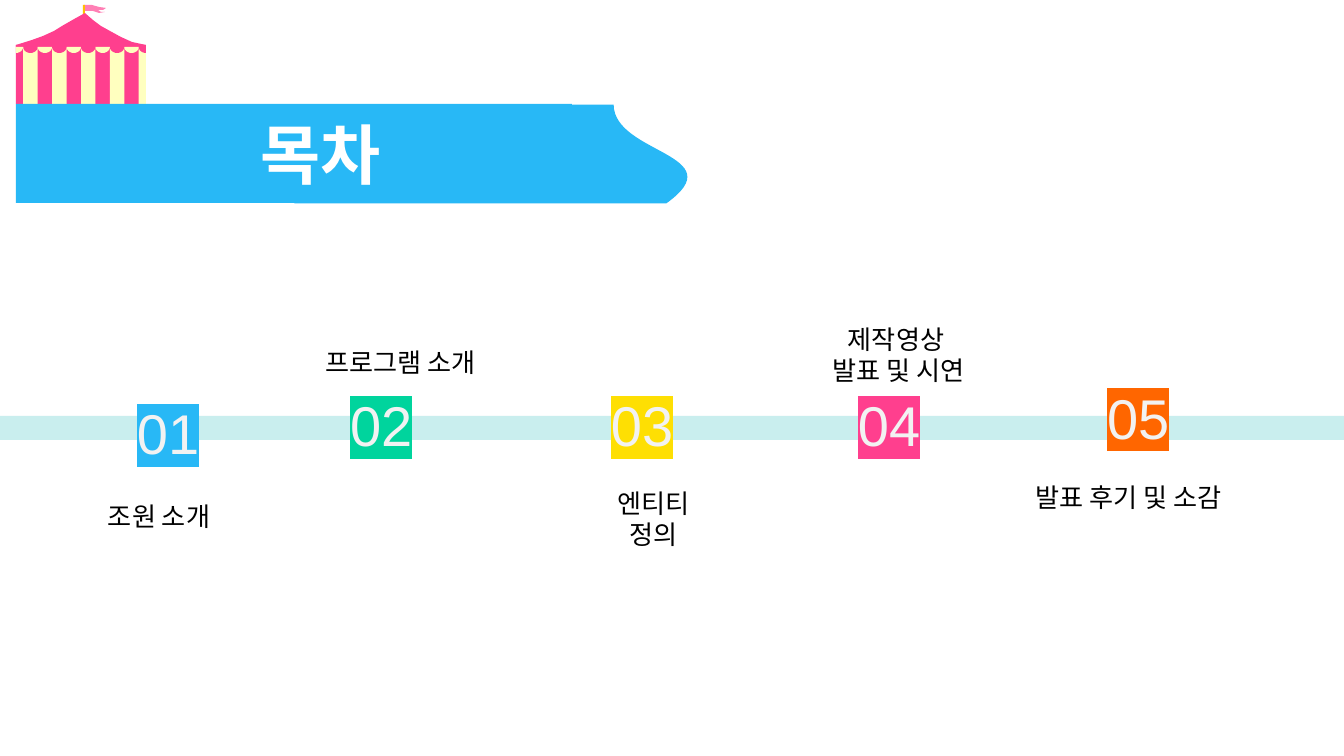
"""Build a contents slide with a circus tent banner and a five-step timeline."""
import math

from lxml import etree
from pptx import Presentation
from pptx import util as u
from pptx.dml.color import RGBColor
from pptx.enum import shapes, text
from pptx.oxml.ns import qn

PX = 914400 / 134.4
WHITE, BLACK = RGBColor(255, 255, 255), RGBColor(0, 0, 0)
PALE = RGBColor(0xF2, 0xF2, 0xF2)
BLUE = RGBColor(0x28, 0xB8, 0xF6)
GREEN = RGBColor(0x00, 0xD4, 0x9D)
YELLOW = RGBColor(0xFE, 0xDF, 0x03)
PINK = RGBColor(0xFF, 0x3F, 0x8E)
ORANGE = RGBColor(0xFF, 0x66, 0x00)
CREAM = RGBColor(0xFF, 0xFF, 0xBF)
FLAG_PINK = RGBColor(0xFF, 0x7F, 0xB5)
GOLD = RGBColor(0xFF, 0xBF, 0x00)
AQUA = RGBColor(0xC9, 0xEE, 0xEE)
LATIN, KOREAN = "Arial", "Noto Sans CJK KR"
LEFT, CENTER = text.PP_ALIGN.LEFT, text.PP_ALIGN.CENTER

TITLE = "목차"
STEPS = [
    ("01", BLUE, (124, 386), ["조원 소개"], (95, 487, 161, 89), LEFT),
    ("02", GREEN, (337, 378), ["프로그램 소개"], (300, 333, 202, 89), CENTER),
    ("03", YELLOW, (598, 378), ["엔티티 정의"], (588, 474, 131, 90), CENTER),
    ("04", PINK, (845, 378), ["제작영상 ", "발표 및 시연"], (805, 310, 188, 90), CENTER),
    ("05", ORANGE, (1094, 370), ["발표 후기 및 소감"], (1023, 468, 243, 58), LEFT),
]
NUMBER_SIZE = (112, 110)
FLAG = [(84, 5), (92, 5), (99, 7), (106, 8), (103, 10), (98, 10), (101, 12),
        (105, 12), (99, 13), (93, 11), (88, 11), (84, 11)]
ROOF = [(16, 45), (32, 40), (43, 36), (54, 31), (62, 26), (69, 22), (76, 18), (85, 13),
        (93, 20), (101, 26), (110, 31), (121, 37), (132, 42), (146, 45),
        (138, 47), (108, 48), (70, 48), (48, 46), (16, 46)]
TENT_X, TENT_W, WALL_Y, WALL_H = 16, 130, 46, 58
STRIPES = 9
SCALLOP_Y, SCALLOP_H = 47, 6


def px(n):
    return u.Emu(round(n * PX))


def paint(sp, color):
    sp.shadow.inherit = False
    sp.fill.solid()
    sp.fill.fore_color.rgb = color
    sp.line.fill.background()
    return sp


def block(s, box, color, kind=shapes.MSO_SHAPE.RECTANGLE):
    return paint(s.shapes.add_shape(kind, *map(px, box)), color)


def outline(s, points, color):
    first, *rest = [(px(x), px(y)) for x, y in points]
    fb = s.shapes.build_freeform(*first)
    fb.add_line_segments(rest, close=True)
    return paint(fb.convert_to_shape(), color)


def write(sp, lines, size, color, font=KOREAN, align=LEFT, bold=None, highlight=None,
          inset=(13, 13, 13, 13), anchor=text.MSO_ANCHOR.TOP, grow=False):
    tf = sp.text_frame
    tf.word_wrap = True
    tf.vertical_anchor = anchor
    tf.margin_left, tf.margin_top, tf.margin_right, tf.margin_bottom = map(px, inset)
    if grow:
        tf.auto_size = text.MSO_AUTO_SIZE.SHAPE_TO_FIT_TEXT
    for i, line in enumerate(lines):
        p = tf.add_paragraph() if i else tf.paragraphs[0]
        p.alignment = align
        r = p.add_run()
        r.text = line
        f = r.font
        f.size, f.bold, f.name = u.Pt(size), bold, font
        f.color.rgb = color
        rpr = r._r.get_or_add_rPr()
        etree.SubElement(rpr, qn("a:ea")).set("typeface", font)
        if highlight is not None:
            mark = etree.Element(qn("a:highlight"))
            etree.SubElement(mark, qn("a:srgbClr")).set("val", str(highlight))
            rpr.find(qn("a:solidFill")).addnext(mark)


def scallop(s, cx, radius, start, end, color):
    angles = [math.radians(a) for a in range(start, end + 1, 15)]
    arc = [(cx + radius * math.cos(a), SCALLOP_Y + SCALLOP_H * math.sin(a)) for a in angles]
    outline(s, [(cx, SCALLOP_Y)] + arc, color)


def tent(s):
    pitch = TENT_W / STRIPES
    half, right = pitch / 2, TENT_X + TENT_W
    starts = [TENT_X + half + i * pitch for i in range(STRIPES)]
    outline(s, FLAG, FLAG_PINK)
    block(s, (83, 5, 2, 12), GOLD)
    block(s, (TENT_X, WALL_Y, TENT_W, WALL_H), PINK)
    for x in starts[::2]:
        block(s, (x, WALL_Y, min(pitch, right - x), WALL_H), CREAM)
    outline(s, ROOF, PINK)
    block(s, (TENT_X, 45, TENT_W, 2), PINK)
    for i, x in enumerate(starts[:-1]):
        scallop(s, x + half, half, 0, 180, CREAM if i % 2 else PINK)
    scallop(s, TENT_X, half, 0, 90, CREAM)
    scallop(s, right, half, 90, 180, PINK)


def main():
    prs = Presentation()
    prs.slide_width, prs.slide_height = px(1344), px(756)
    s = prs.slides.add_slide(prs.slide_layouts[6])
    block(s, (0, 0, 1344, 756), WHITE)
    tent(s)
    block(s, (444, -45, 99, 398), BLUE, shapes.MSO_SHAPE.FLOWCHART_DOCUMENT).rotation = 270
    banner = block(s, (16, 104, 556, 99), BLUE)
    write(banner, [TITLE], 35, WHITE, align=CENTER, bold=True,
          inset=(67, 7, 13, 7), anchor=text.MSO_ANCHOR.MIDDLE)
    block(s, (-142, 416, 1704, 24), AQUA)
    for number, color, spot, label, box, align in STEPS:
        sp = s.shapes.add_textbox(*map(px, spot + NUMBER_SIZE))
        write(sp, [number], 30, PALE, font=LATIN, highlight=color)
        sp = s.shapes.add_textbox(*map(px, box))
        write(sp, label, 14, BLACK, align=align, grow=True)
    prs.save("out.pptx")


if __name__ == "__main__":
    main()
